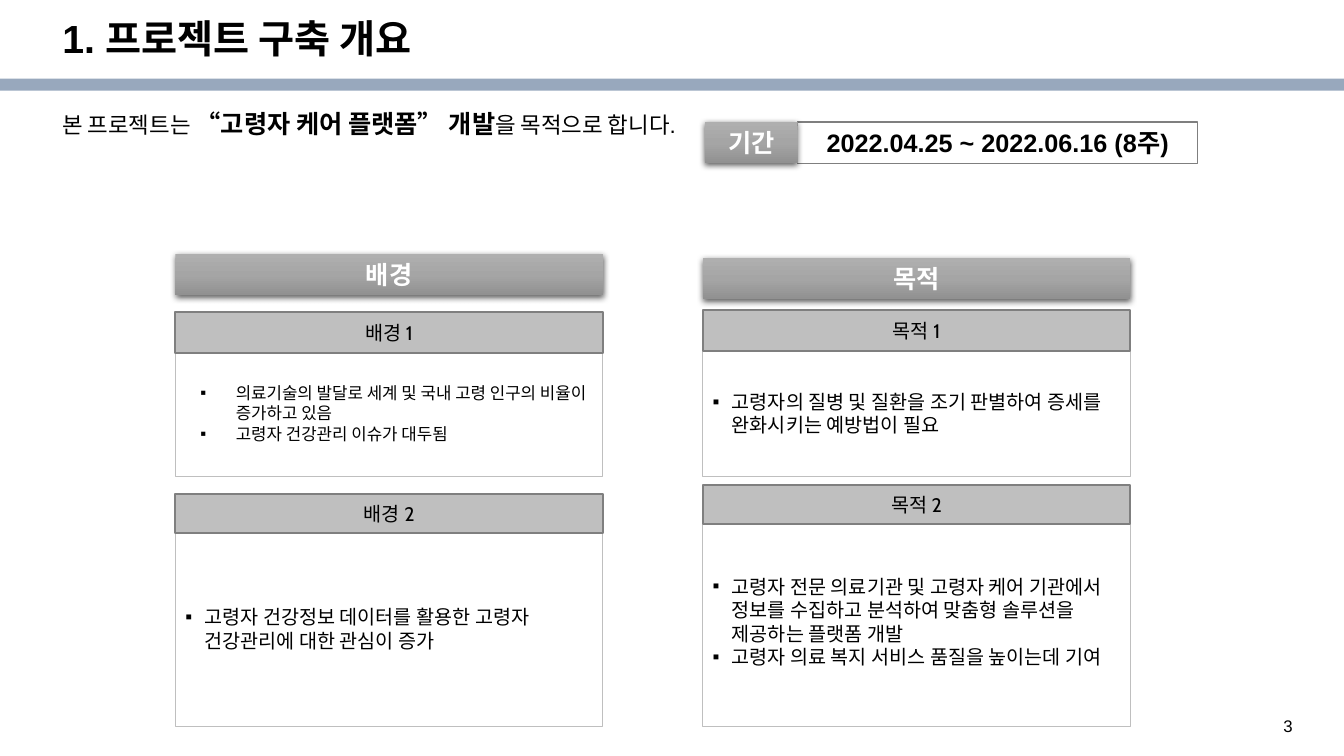
from dataclasses import dataclass
from typing import NamedTuple

from lxml import etree
from pptx import Presentation
from pptx.dml.color import RGBColor
from pptx.enum.shapes import MSO_SHAPE as Shape
from pptx.enum.text import MSO_ANCHOR as Anchor, PP_ALIGN as Align
from pptx.oxml import parse_xml
from pptx.oxml.ns import nsdecls, qn
from pptx.util import Pt

PX = 9144  # EMU in one px, 100 px to the inch


@dataclass(frozen=True)
class Theme:
    black: str = "000000"
    white: str = "FFFFFF"
    band: str = "98A8BD"
    header: str = "BFBFBF"
    border: str = "7F7F7F"
    gradient: tuple = ((0, "AFAFAF"), (50, "A5A5A5"), (100, "919191"))
    font: str = "Arial"
    header_font: str = "Cabin"
    title: int = 28
    large: int = 18
    lead: int = 16
    normal: int = 14
    small: int = 12


THEME = Theme()


class Area(NamedTuple):
    left: int
    top: int
    width: int
    height: int


class Span(NamedTuple):
    text: str
    size: int
    bold: bool = False
    color: str = THEME.black
    font: str = THEME.font


class Section(NamedTuple):
    heading: str
    header_top: int
    header_height: int
    body_top: int
    body_height: int
    points: tuple[str, ...]
    size: int = THEME.normal
    indent: tuple[int, int] = (19, -19)


class Column(NamedTuple):
    title: str
    left: int
    top: int
    sections: tuple[Section, ...]


COLUMN_WIDTH, BANNER_HEIGHT = 424, 41
COLUMNS = (
    Column("배경", 174, 252, (
        Section("배경 1", 310, 40, 347, 126,
                ("의료기술의 발달로 세계 및 국내 고령 인구의 비율이 증가하고 있음",
                 "고령자 건강관리 이슈가 대두됨"), THEME.small, (50, -35)),
        Section("배경 2", 490, 39, 526, 195,
                ("고령자 건강정보 데이터를 활용한 고령자 건강관리에 대한 관심이 증가",)),
    )),
    Column("목적", 697, 256, (
        Section("목적 1", 308, 40, 347, 126,
                ("고령자의 질병 및 질환을 조기 판별하여 증세를 완화시키는 예방법이 필요",)),
        Section("목적 2", 481, 39, 512, 209,
                ("고령자 전문 의료기관 및 고령자 케어 기관에서 정보를 수집하고 "
                 "분석하여 맞춤형 솔루션을 제공하는 플랫폼 개발",
                 "고령자 의료 복지 서비스 품질을 높이는데 기여")),
    )),
)


def emu(area: Area) -> list[int]:
    return [value * PX for value in area]


def apply(target, values: dict) -> None:
    for name, value in values.items():
        setattr(target, name, value)


def add_spans(para, spans: list[Span]) -> None:
    for span in spans:
        run = para.add_run()
        run.text = span.text
        apply(run.font, {"size": Pt(span.size), "bold": span.bold, "name": span.font})
        run.font.color.rgb = RGBColor.from_string(span.color)


def set_frame(box, anchor: Anchor, inset: tuple[int, int] = (10, 5)) -> None:
    across, down = (value * PX for value in inset)
    apply(box.text_frame, {
        "word_wrap": True, "vertical_anchor": anchor,
        "margin_left": across, "margin_right": across,
        "margin_top": down, "margin_bottom": down,
    })


def add_text(page, area: Area, spans: list[Span], spacing: float = 1.0) -> None:
    box = page.shapes.add_textbox(*emu(area))
    set_frame(box, Anchor.TOP)
    para = box.text_frame.paragraphs[0]
    para.line_spacing = spacing
    add_spans(para, spans)


def add_box(page, area: Area, fill: str, line: str = "", weight: float = 0):
    box = page.shapes.add_shape(Shape.RECTANGLE, *emu(area))
    box.shadow.inherit = False
    box.fill.solid()
    box.fill.fore_color.rgb = RGBColor.from_string(fill)
    if line:
        box.line.color.rgb = RGBColor.from_string(line)
        box.line.width = Pt(weight)
    else:
        box.line.fill.background()
    return box


def add_label(box, span: Span, inset: tuple[int, int] = (10, 5)) -> None:
    set_frame(box, Anchor.MIDDLE, inset)
    para = box.text_frame.paragraphs[0]
    para.alignment = Align.CENTER
    add_spans(para, [span])


def add_banner(page, area: Area, text: str) -> None:
    box = add_box(page, area, THEME.white)
    props = box._element.spPr
    stops = "".join(f'<a:gs pos="{place * 1000}"><a:srgbClr val="{color}"/></a:gs>'
                    for place, color in THEME.gradient)
    props.replace(props.find(qn("a:solidFill")), parse_xml(
        f'<a:gradFill {nsdecls("a")} rotWithShape="1"><a:gsLst>{stops}</a:gsLst>'
        '<a:lin ang="5400000" scaled="0"/></a:gradFill>'))
    props.find(qn("a:effectLst")).append(parse_xml(
        f'<a:outerShdw {nsdecls("a")} blurRad="{Pt(4.5)}" dist="{Pt(1.5)}" '
        f'dir="5400000" algn="ctr" rotWithShape="0"><a:srgbClr val="{THEME.black}">'
        '<a:alpha val="63000"/></a:srgbClr></a:outerShdw>'))
    add_label(box, Span(text, THEME.large, True, THEME.white))


def add_points(box, section: Section) -> None:
    set_frame(box, Anchor.MIDDLE)
    frame = box.text_frame
    margin, hanging = section.indent
    for index, point in enumerate(section.points):
        para = frame.add_paragraph() if index else frame.paragraphs[0]
        para.alignment = Align.LEFT
        props = para._p.get_or_add_pPr()
        props.set("marL", str(margin * PX))
        props.set("indent", str(hanging * PX))
        color = etree.SubElement(props, qn("a:buClr"))
        etree.SubElement(color, qn("a:srgbClr"), val=THEME.black)
        etree.SubElement(props, qn("a:buFont"), typeface=THEME.font)
        etree.SubElement(props, qn("a:buChar"), char="▪")
        add_spans(para, [Span(point, section.size)])


def add_column(page, column: Column) -> None:
    left = column.left
    add_banner(page, Area(left, column.top, COLUMN_WIDTH, BANNER_HEIGHT), column.title)
    for section in column.sections:
        body = Area(left, section.body_top, COLUMN_WIDTH, section.body_height)
        add_points(add_box(page, body, THEME.white, THEME.header, 0.75), section)
        header = Area(left, section.header_top, COLUMN_WIDTH, section.header_height)
        add_label(add_box(page, header, THEME.header, THEME.border, 1.5),
                  Span(section.heading, THEME.normal, font=THEME.header_font), (8, 8))


def main() -> None:
    deck = Presentation()
    apply(deck, {"slide_width": 1333 * PX, "slide_height": 750 * PX})
    page = deck.slides.add_slide(deck.slide_layouts[6])

    # Title, band and page number
    add_box(page, Area(0, 78, 1333, 12), THEME.band)
    add_text(page, Area(1263, 705, 52, 27), [Span("3", THEME.small)])
    add_text(page, Area(52, 15, 1150, 53),
             [Span("1. 프로젝트 구축 개요", THEME.title, True)], 0.9)

    # Lead sentence
    add_text(page, Area(52, 106, 1201, 71), [
        Span("본 프로젝트는 ", THEME.lead),
        Span("“고령자 케어 플랫폼” 개발", THEME.large, True),
        Span("을 목적으로 합니다.", THEME.lead),
    ], 0.9)

    # Background and purpose
    for column in COLUMNS:
        add_column(page, column)

    # Project period
    period = add_box(page, Area(791, 121, 397, 41), THEME.white, THEME.border, 1)
    add_label(period, Span("2022.04.25 ~ 2022.06.16 (8주)", THEME.large, True))
    add_banner(page, Area(699, 121, 92, BANNER_HEIGHT), "기간")

    deck.save("out.pptx")


if __name__ == "__main__":
    main()
